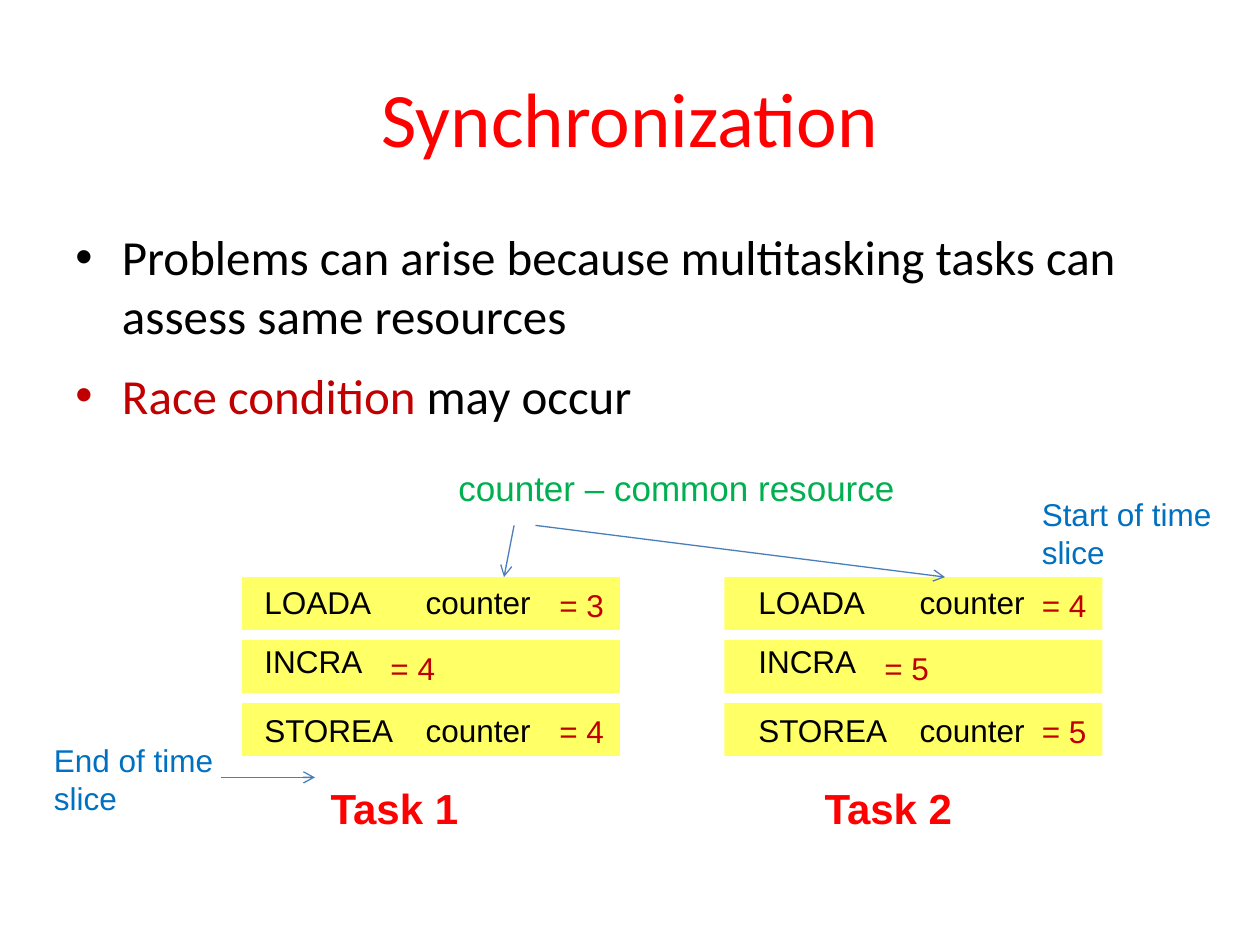
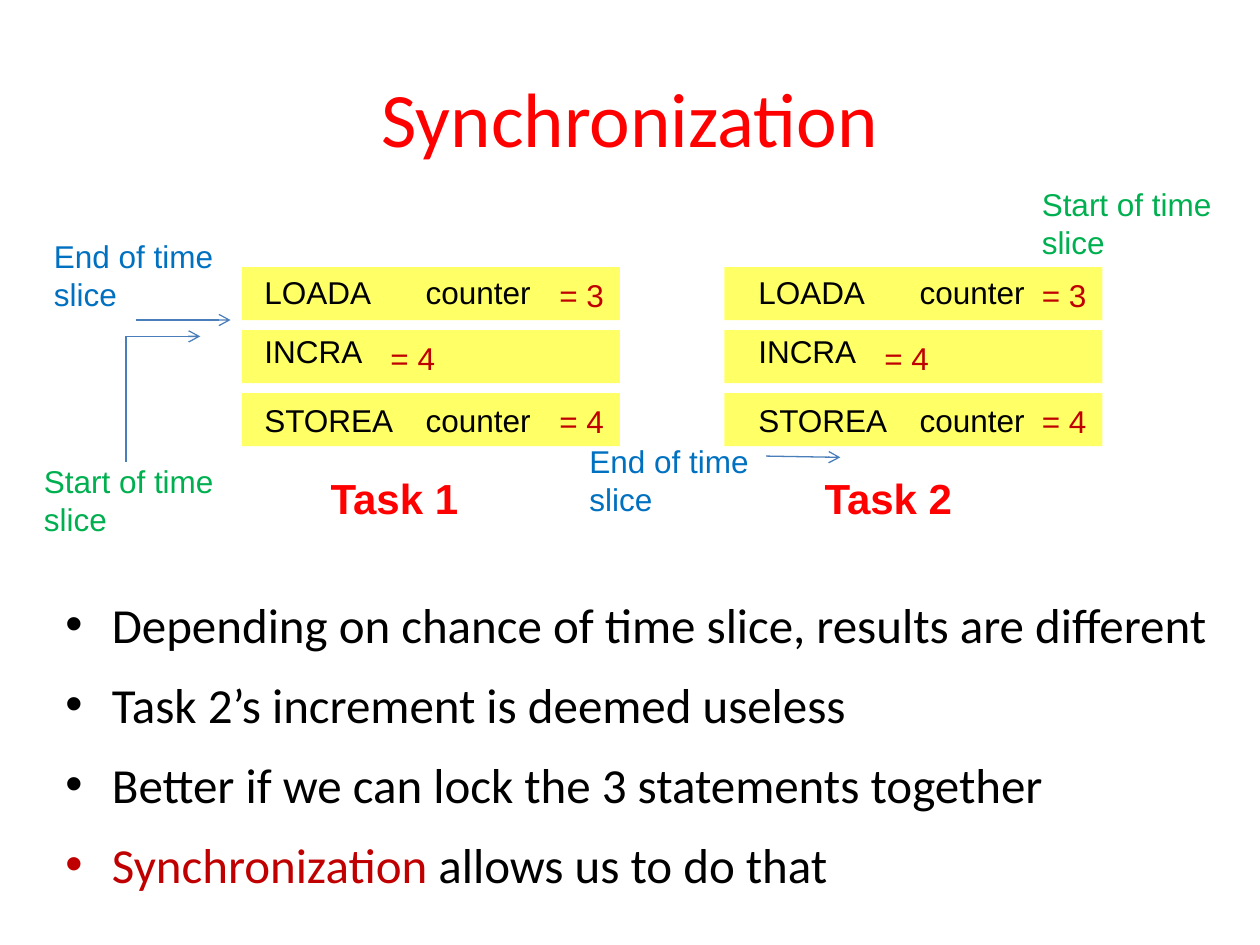
from dataclasses import dataclass

from lxml import etree
from pptx import Presentation
from pptx import util as u
from pptx.dml import color
from pptx.enum import shapes, text
from pptx.oxml import ns

Inches, Pt = u.Inches, u.Pt


# Theme: colours, fonts and type sizes
@dataclass(frozen=True)
class Theme:
    black: str = "000000"
    red: str = "FF0000"
    dark_red: str = "C00000"
    green: str = "00B050"
    blue: str = "0070C0"
    yellow: str = "FFFF66"
    line: str = "4A7EBB"
    head_font: str = "Calibri"
    label_font: str = "Arial"
    title: int = 44
    body: int = 28
    task: int = 24
    note: int = 20
    code: int = 18


T = Theme()


@dataclass(frozen=True)
class Run:
    text: str
    color: str = T.black


@dataclass(frozen=True)
class Label:
    text: str
    x: float
    y: float
    w: float
    h: float
    color: str
    size: int = T.code
    bold: bool = False
    centred: bool = False


@dataclass(frozen=True)
class Arrow:
    x1: float
    y1: float
    x2: float
    y2: float
    head: bool = True


@dataclass(frozen=True)
class Task:
    name: str
    bar_x: float
    code_x: float
    values: tuple[str, str, str]


@dataclass(frozen=True)
class Page:
    tasks: tuple[Task, Task]
    tasks_y: float
    labels: tuple[Label, ...]
    arrows: tuple[Arrow, ...]
    bullets: tuple[tuple[Run, ...], ...]
    body_box: tuple[float, float, float, float]


# Task block geometry
ROW_STEP, BAR_W, BAR_H = 0.5, 3, 0.42
COUNTER_TAB = 1.28
CODE = ("LOADA\tcounter", "INCRA", "STOREA\tcounter")


def set_values(obj: object, values: dict) -> None:
    for name, value in values.items():
        setattr(obj, name, value)


def add_run(p, run: Run, font: str, size: int, bold: bool = False) -> None:
    r = p.add_run()
    r.text = run.text
    set_values(r.font, {"name": font, "size": Pt(size), "bold": bold})
    r.font.color.rgb = color.RGBColor.from_string(run.color)


def add_box(slide, x: float, y: float, w: float, h: float):
    tf = slide.shapes.add_textbox(Inches(x), Inches(y), Inches(w), Inches(h)).text_frame
    tf.word_wrap = True
    return tf


def paragraphs(tf, count: int) -> list:
    return [tf.paragraphs[0]] + [tf.add_paragraph() for _ in range(count - 1)]


def sub(parent, tag: str, **attrs: str):
    return etree.SubElement(parent, ns.qn(tag), attrs)


def add_title(slide, title: str) -> None:
    sp = slide.shapes.title
    set_values(sp, {"left": Inches(0.5), "top": Inches(0.3),
                    "width": Inches(9), "height": Inches(1.25)})
    sp.text_frame.vertical_anchor = text.MSO_ANCHOR.MIDDLE
    p = sp.text_frame.paragraphs[0]
    p.alignment = text.PP_ALIGN.CENTER
    add_run(p, Run(title, T.red), T.head_font, T.title)


def add_label(slide, label: Label) -> None:
    p = add_box(slide, label.x, label.y, label.w, label.h).paragraphs[0]
    p.alignment = text.PP_ALIGN.CENTER if label.centred else text.PP_ALIGN.LEFT
    add_run(p, Run(label.text, label.color), T.label_font, label.size, label.bold)


def add_bullets(slide, bullets: tuple[tuple[Run, ...], ...],
                box: tuple[float, float, float, float]) -> None:
    tf = add_box(slide, *box)
    for p, runs in zip(paragraphs(tf, len(bullets)), bullets):
        set_values(p, {"space_before": Pt(6), "space_after": Pt(6)})
        pPr = p._p.get_or_add_pPr()
        indent = Inches(0.37)
        pPr.set("marL", str(indent))
        pPr.set("indent", str(-indent))
        sub(sub(pPr, "a:buClr"), "a:srgbClr", val=runs[0].color)
        sub(pPr, "a:buFont", typeface=T.label_font)
        sub(pPr, "a:buChar", char="•")
        for run in runs:
            add_run(p, run, T.head_font, T.body)


def add_arrow(slide, arrow: Arrow) -> None:
    ends = (Inches(v) for v in (arrow.x1, arrow.y1, arrow.x2, arrow.y2))
    sp = slide.shapes.add_connector(shapes.MSO_CONNECTOR.STRAIGHT, *ends)
    sp.line.width = Pt(0.75)
    sp.line.color.rgb = color.RGBColor.from_string(T.line)
    if arrow.head:
        sub(sp.line._get_or_add_ln(), "a:tailEnd", type="arrow")
    sub(sp._element.spPr, "a:effectLst")


def add_task(slide, task: Task, y: float) -> None:
    # Yellow bars
    for i in range(len(CODE)):
        sp = slide.shapes.add_shape(
            shapes.MSO_SHAPE.RECTANGLE, Inches(task.bar_x), Inches(y + i * ROW_STEP),
            Inches(BAR_W), Inches(BAR_H))
        sp.shadow.inherit = False
        sp.fill.solid()
        sp.fill.fore_color.rgb = color.RGBColor.from_string(T.yellow)
        sp.line.fill.background()
    # Statements
    tf = add_box(slide, task.code_x, y, 2.4, 1.42)
    for p, code, after in zip(paragraphs(tf, len(CODE)), CODE, (6, 12, 6)):
        set_values(p, {"space_before": Pt(6), "space_after": Pt(after)})
        tabs = sub(p._p.get_or_add_pPr(), "a:tabLst")
        sub(tabs, "a:tab", pos=str(Inches(COUNTER_TAB)), algn="l")
        add_run(p, Run(code), T.label_font, T.code)
    # Results and task name
    wide_x, short_x = task.bar_x + 2.42, task.code_x + 1
    for i, (x, value) in enumerate(zip((wide_x, short_x, wide_x), task.values)):
        add_label(slide, Label(value, x, y + 0.02 + i * ROW_STEP, 0.75, 0.4, T.dark_red))
    add_label(slide, Label(task.name, task.code_x - 0.08, y + 1.58, 2.42, 0.5,
                           T.red, T.task, bold=True, centred=True))


def slice_label(edge: str, x: float, y: float, rgb: str) -> Label:
    return Label(f"{edge} of time slice", x, y, 1.67, 0.7, rgb)


def both_tasks(first: tuple[str, str, str],
               second: tuple[str, str, str]) -> tuple[Task, Task]:
    return Task("Task 1", 1.92, 2, first), Task("Task 2", 5.75, 5.92, second)


# Content
PAGES = (
    Page(
        tasks=both_tasks(("= 3", "= 4", "= 4"), ("= 4", "= 5", "= 5")),
        tasks_y=4.58,
        labels=(
            Label("counter – common resource", 3.33, 3.65, 4.08, 0.44,
                  T.green, T.note, centred=True),
            slice_label("End", 0.33, 5.83, T.blue),
            slice_label("Start", 8.17, 3.88, T.blue),
        ),
        arrows=(Arrow(4.08, 4.17, 4, 4.58), Arrow(4.25, 4.17, 7.5, 4.58),
                Arrow(1.75, 6.17, 2.5, 6.17)),
        bullets=(
            (Run("Problems can arise because multitasking tasks can assess same resources"),),
            (Run("Race condition ", T.dark_red), Run("may occur")),
        ),
        body_box=(0.5, 1.75, 9, 1.75),
    ),
    Page(
        tasks=both_tasks(("= 3", "= 4", "= 4"), ("= 3", "= 4", "= 4")),
        tasks_y=2.12,
        labels=(
            slice_label("End", 0.33, 1.83, T.blue),
            slice_label("Start", 8.17, 1.42, T.green),
            slice_label("End", 4.58, 3.46, T.blue),
            slice_label("Start", 0.25, 3.62, T.green),
        ),
        arrows=(Arrow(1.08, 2.54, 1.83, 2.54), Arrow(6.08, 3.62, 6.67, 3.63),
                Arrow(1, 2.67, 1.59, 2.67), Arrow(1, 2.67, 1, 3.67, head=False)),
        bullets=(
            (Run("Depending on chance of time slice, results are different"),),
            (Run("Task 2’s increment is deemed useless"),),
            (Run("Better if we can lock the 3 statements together"),),
            (Run("Synchronization", T.dark_red), Run(" allows us to do that")),
        ),
        body_box=(0.42, 4.67, 9.5, 2.47),
    ),
)


def main() -> None:
    prs = Presentation()
    set_values(prs, {"slide_width": Inches(10), "slide_height": Inches(7.5)})
    for page in PAGES:
        slide = prs.slides.add_slide(prs.slide_layouts[5])
        add_title(slide, "Synchronization")
        for task in page.tasks:
            add_task(slide, task, page.tasks_y)
        for label in page.labels:
            add_label(slide, label)
        for arrow in page.arrows:
            add_arrow(slide, arrow)
        add_bullets(slide, page.bullets, page.body_box)
    prs.save("out.pptx")


if __name__ == "__main__":
    main()
